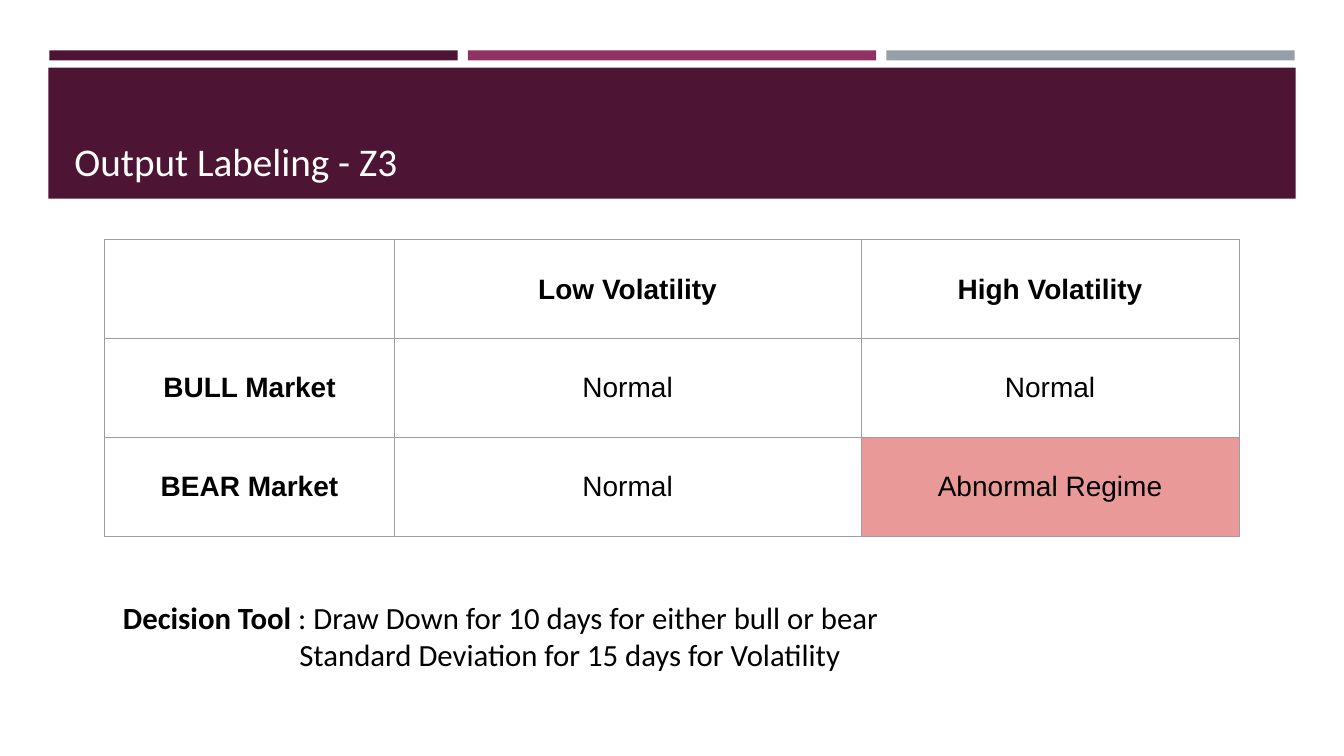
import lxml.etree
import pptx
import pptx.dml.color
import pptx.enum.shapes
import pptx.enum.text
import pptx.oxml.ns
import pptx.util

PX = 9144  # EMU per px, 100 px to the inch
COLOURS = {
    "plum": "4D1434",
    "berry": "903163",
    "slate": "969FA7",
    "white": "FFFFFF",
    "black": "000000",
    "grid": "9E9E9E",
    "alert": "EA9999",
}
REGIMES = [
    ["", "Low Volatility", "High Volatility"],
    ["BULL Market", "Normal", "Normal"],
    ["BEAR Market", "Normal", "Abnormal Regime"],
]
COLUMN_WIDTHS = [287, 463, 375]


def px(*lengths):
    return [pptx.util.Emu(length * PX) for length in lengths]


def colour(name):
    return pptx.dml.color.RGBColor.from_string(COLOURS[name])


def style_font(font, size, face, shade, bold=False):
    font.size = pptx.util.Pt(size)
    font.name = face
    font.bold = bold
    font.color.rgb = colour(shade)


def add_bar(page, box, shade):
    bar = page.shapes.add_shape(pptx.enum.shapes.MSO_SHAPE.RECTANGLE, *px(*box))
    bar.shadow.inherit = False
    bar.fill.solid()
    bar.fill.fore_color.rgb = colour(shade)
    bar.line.fill.background()


def add_text_frame(page, box, margins):
    frame = page.shapes.add_textbox(*px(*box)).text_frame
    frame.word_wrap = True
    (frame.margin_left, frame.margin_top,
     frame.margin_right, frame.margin_bottom) = px(*margins)
    return frame


def add_header(page, left, top, width):
    """Three accent strips above a title band."""
    gap, strip_width = 10, 405
    for index, shade in enumerate(["plum", "berry", "slate"]):
        strip_left = left + 1 + index * (strip_width + gap)
        add_bar(page, (strip_left, top, strip_width, 10), shade)
    add_bar(page, (left, top + 17, width, 130), "plum")
    frame = add_text_frame(page, (left + 16, top + 27, width - 31, 111), (10, 5, 10, 5))
    frame.vertical_anchor = pptx.enum.text.MSO_ANCHOR.BOTTOM
    para = frame.paragraphs[0]
    para.text = "Output Labeling - Z3"
    style_font(para.font, 28, "Calibri", "white")


def add_borders(cell):
    properties = cell._tc.get_or_add_tcPr()
    for position, side in enumerate(["lnL", "lnR", "lnT", "lnB"]):
        line = lxml.etree.Element(pptx.oxml.ns.qn("a:" + side), w="9525")
        fill = lxml.etree.SubElement(line, pptx.oxml.ns.qn("a:solidFill"))
        lxml.etree.SubElement(fill, pptx.oxml.ns.qn("a:srgbClr"), val=COLOURS["grid"])
        properties.insert(position, line)


def add_regime_table(page, left, top, row_height):
    box = (left, top, sum(COLUMN_WIDTHS), row_height * len(REGIMES))
    table = page.shapes.add_table(len(REGIMES), len(COLUMN_WIDTHS), *px(*box)).table
    table.first_row = table.horz_banding = False
    for column, width in zip(table.columns, px(*COLUMN_WIDTHS)):
        column.width = width
    for row, labels in enumerate(REGIMES):
        for column, label in enumerate(labels):
            cell = table.cell(row, column)
            (cell.margin_left, cell.margin_top,
             cell.margin_right, cell.margin_bottom) = px(10, 10, 10, 10)
            cell.vertical_anchor = pptx.enum.text.MSO_ANCHOR.MIDDLE
            if label == "Abnormal Regime":
                cell.fill.solid()
                cell.fill.fore_color.rgb = colour("alert")
            else:
                cell.fill.background()
            add_borders(cell)
            para = cell.text_frame.paragraphs[0]
            para.text = label
            para.alignment = pptx.enum.text.PP_ALIGN.CENTER
            style_font(para.font, 20, "Arial", "black", row == 0 or column == 0)


def add_decision_note(page, box):
    frame = add_text_frame(page, box, (14, 10, 10, 10))
    tool = frame.paragraphs[0]
    name = tool.add_run()
    name.text = "Decision Tool"
    name.font.bold = True
    tool.add_run().text = " : Draw Down for 10 days for either bull or bear"
    deviation = frame.add_paragraph()
    deviation.text = "Standard Deviation for 15 days for Volatility"
    indent = deviation._p.get_or_add_pPr()
    indent.set("marL", str(175 * PX))
    indent.set("indent", "0")
    for para in frame.paragraphs:
        style_font(para.font, 22, "Calibri", "black")


def main():
    deck = pptx.Presentation()
    deck.slide_width, deck.slide_height = px(1333, 750)
    page = deck.slides.add_slide(deck.slide_layouts[6])
    add_header(page, 48, 50, 1237)
    add_regime_table(page, 104, 238, 98)
    add_decision_note(page, (108, 584, 1114, 118))
    deck.save("out.pptx")


if __name__ == "__main__":
    main()
